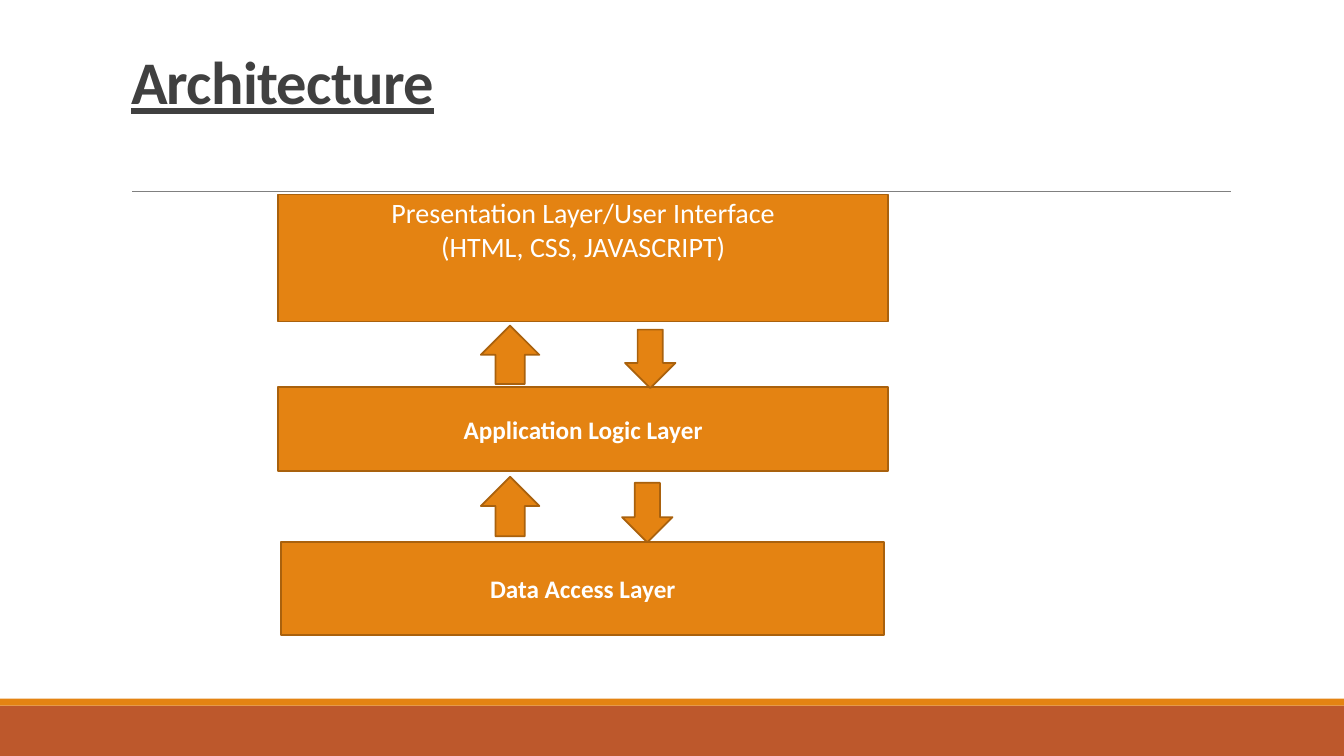
from lxml import etree
from pptx import Presentation
from pptx.dml.color import RGBColor
from pptx.enum.shapes import MSO_CONNECTOR, MSO_SHAPE
from pptx.enum.text import MSO_ANCHOR, MSO_AUTO_SIZE, PP_ALIGN
from pptx.oxml.ns import qn
from pptx.util import Inches, Pt

RECTANGLE = MSO_SHAPE.RECTANGLE
UP = MSO_SHAPE.UP_ARROW
DOWN = MSO_SHAPE.DOWN_ARROW
STRAIGHT = MSO_CONNECTOR.STRAIGHT
TOP, MIDDLE = MSO_ANCHOR.TOP, MSO_ANCHOR.MIDDLE
LEFT, CENTER = PP_ALIGN.LEFT, PP_ALIGN.CENTER
NO_AUTOFIT = MSO_AUTO_SIZE.NONE
TITLE_ONLY = 5

WIDTH, HEIGHT = Inches(13.33), Inches(7.5)
ORANGE, BROWN, RUST = "E48312", "A9610D", "BD582C"
WHITE, CHARCOAL, GRAY = "FFFFFF", "404040", "808080"
FONT = "Calibri"

# left, top, width, height in percent of the slide
LAYERS = [
    ("Presentation Layer/User Interface\n(HTML, CSS, JAVASCRIPT)",
     (20.7, 25.73, 45.39, 16.8), 20, False, TOP),
    ("Application Logic Layer", (20.7, 51.2, 45.39, 11.07), 18, True, MIDDLE),
    ("Data Access Layer", (20.93, 71.73, 44.86, 12.27), 18, True, MIDDLE),
]
ARROWS = [
    (UP, (35.78, 43.07, 4.35, 7.73)),
    (UP, (35.78, 63.07, 4.35, 7.87)),
    (DOWN, (46.51, 43.6, 3.75, 7.73)),
    (DOWN, (46.29, 63.87, 3.75, 7.87)),
]
FOOTER_BANDS = [(RUST, (0, 93.33, 100, 6.67)), (ORANGE, (0, 92.4, 100, 0.93))]


def color(hex_value):
    return RGBColor.from_string(hex_value)


def place(left, top, width, height):
    return (round(WIDTH * left / 100), round(HEIGHT * top / 100),
            round(WIDTH * width / 100), round(HEIGHT * height / 100))


def format_font(font, size, bold, hex_value):
    font.name = FONT
    font.size = Pt(size)
    font.bold = bold
    font.color.rgb = color(hex_value)


def add_block(slide, kind, area, fill, outline=None):
    block = slide.shapes.add_shape(kind, *place(*area))
    block.shadow.inherit = False
    block.fill.solid()
    block.fill.fore_color.rgb = color(fill)
    if outline:
        block.line.color.rgb = color(outline)
        block.line.width = Pt(1.25)
    else:
        block.line.fill.background()
    return block


def add_layer(slide, wording, area, size, bold, anchor):
    frame = add_block(slide, RECTANGLE, area, ORANGE, BROWN).text_frame
    frame.word_wrap = True
    frame.vertical_anchor = anchor
    frame.margin_top = frame.margin_bottom = Inches(0.01)
    frame.text = wording
    for paragraph in frame.paragraphs:
        paragraph.alignment = CENTER
        for run in paragraph.runs:
            format_font(run.font, size, bold, WHITE)


def add_rule(slide, left, right, level):
    x, y, length, _ = place(left, level, right - left, 0)
    rule = slide.shapes.add_connector(STRAIGHT, x, y, x + length, y)
    rule.line.color.rgb = color(GRAY)
    rule.line.width = Pt(0.5)
    etree.SubElement(rule._element.spPr, qn("a:effectLst"))


def set_title(slide, wording, area):
    title = slide.shapes.title
    title.left, title.top, title.width, title.height = place(*area)
    frame = title.text_frame
    frame.text = wording
    frame.word_wrap = True
    frame.auto_size = NO_AUTOFIT
    frame.vertical_anchor = TOP
    heading = frame.paragraphs[0]
    heading.alignment = LEFT
    heading.line_spacing = 0.85
    run = heading.runs[0]
    format_font(run.font, 43.2, True, CHARCOAL)
    run.font.underline = True
    run.font._element.set("spc", "-50")


def main():
    deck = Presentation()
    deck.slide_width, deck.slide_height = WIDTH, HEIGHT
    slide = deck.slides.add_slide(deck.slide_layouts[TITLE_ONLY])
    for fill, area in FOOTER_BANDS:
        add_block(slide, RECTANGLE, area, fill)
    add_rule(slide, 9.83, 91.6, 25.33)
    set_title(slide, "Architecture", (9, 6.67, 82.52, 18))
    for layer in LAYERS:
        add_layer(slide, *layer)
    for direction, area in ARROWS:
        add_block(slide, direction, area, ORANGE, BROWN)
    deck.save("out.pptx")


if __name__ == "__main__":
    main()
